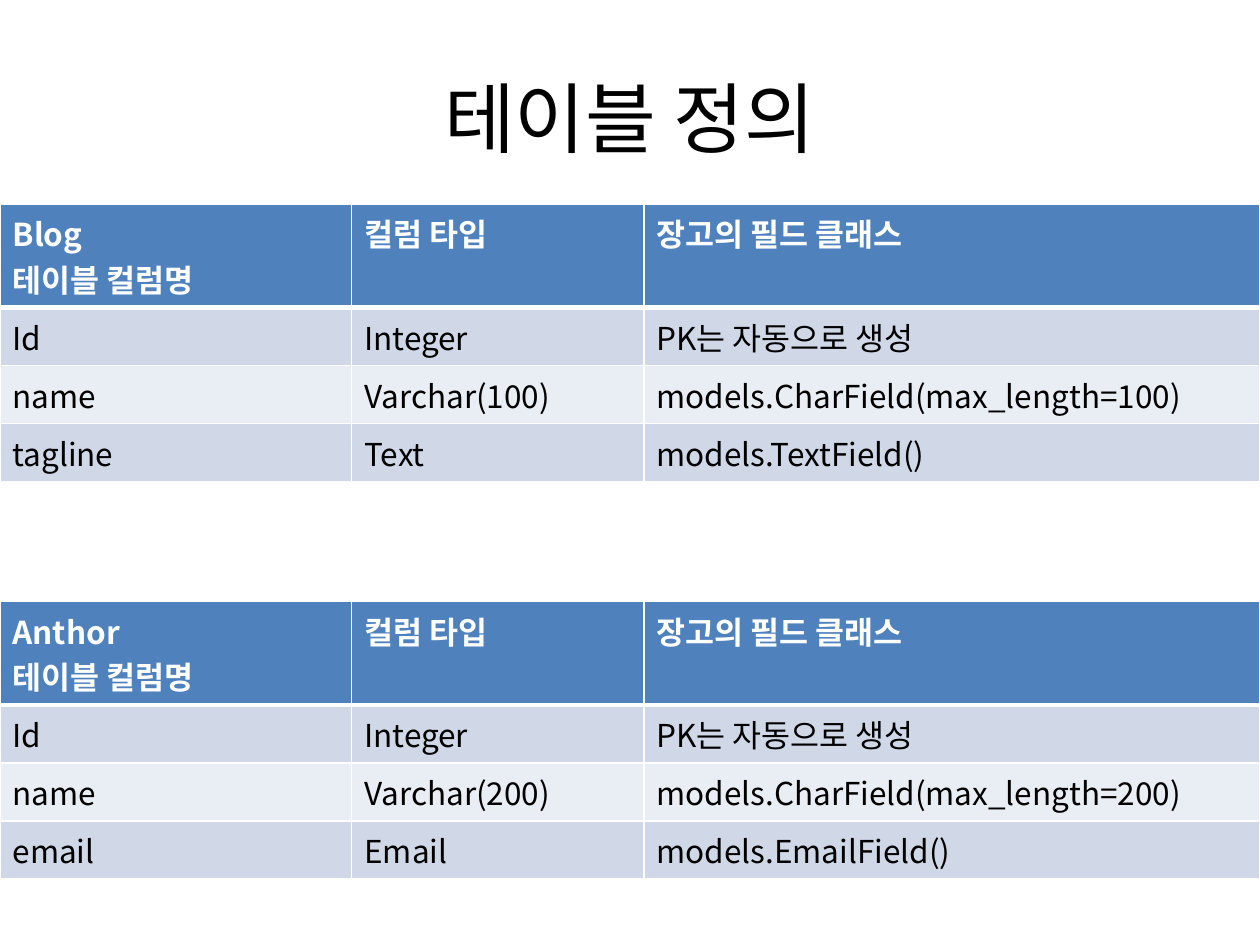
from dataclasses import dataclass

from lxml import etree
from pptx import Presentation
from pptx.dml.color import RGBColor
from pptx.enum import text
from pptx.oxml import ns
from pptx.util import Cm, Pt


@dataclass(frozen=True)
class Theme:
    font: str = "Noto Sans CJK KR"
    title_size: int = 44
    body_size: int = 18
    ink: str = "000000"
    paper: str = "FFFFFF"
    header: str = "4F81BD"
    bands: tuple = ("D0D8E8", "E9EDF4")
    rule: int = 1
    header_rule: int = 3


THEME = Theme()
COLUMN_WIDTHS = (7.09, 5.89, 12.42)
HEADER_HEIGHT, ROW_HEIGHT = 2.09, 1.17
BLOG = [
    ("Id", "Integer", "PK는 자동으로 생성"),
    ("name", "Varchar(100)", "models.CharField(max_length=100)"),
    ("tagline", "Text", "models.TextField()"),
]
AUTHOR = [
    ("Id", "Integer", "PK는 자동으로 생성"),
    ("name", "Varchar(200)", "models.CharField(max_length=200)"),
    ("email", "Email", "models.EmailField()"),
]


def add_run(p, words, size, color, bold=False):
    r = p.add_run()
    r.text = words
    r.font.name = THEME.font
    r.font.size = Pt(size)
    r.font.bold = bold
    r.font.color.rgb = RGBColor.from_string(color)
    ea = etree.SubElement(r.font._element, ns.qn("a:ea"))
    ea.set("typeface", THEME.font)


def set_borders(cell, bottom, top):
    """Draw paper-coloured rules, which the schema wants ahead of the fill."""
    tc_pr = cell._tc.get_or_add_tcPr()
    widths = {"lnL": THEME.rule, "lnR": THEME.rule, "lnT": top, "lnB": bottom}
    for i, (side, width) in enumerate(widths.items()):
        ln = etree.Element(ns.qn(f"a:{side}"), w=str(Pt(width)))
        fill = etree.SubElement(ln, ns.qn("a:solidFill"))
        etree.SubElement(fill, ns.qn("a:srgbClr"), val=THEME.paper)
        tc_pr.insert(i, ln)


def fill_cell(cell, lines, fill, color, bold=False, top=THEME.rule, bottom=THEME.rule):
    cell.fill.solid()
    cell.fill.fore_color.rgb = RGBColor.from_string(fill)
    set_borders(cell, bottom, top)
    tf = cell.text_frame
    for i, line in enumerate(lines):
        p = tf.add_paragraph() if i else tf.paragraphs[0]
        add_run(p, line, THEME.body_size, color, bold)


def add_title(s, words, left, top, width, height):
    tf = s.shapes.add_textbox(Cm(left), Cm(top), Cm(width), Cm(height)).text_frame
    tf.word_wrap = True
    tf.vertical_anchor = text.MSO_ANCHOR.MIDDLE
    p = tf.paragraphs[0]
    p.alignment = text.PP_ALIGN.CENTER
    add_run(p, words, THEME.title_size, THEME.ink)


def add_model_table(s, model, fields, left, top):
    """Map each column of a model to its type and field class."""
    height = HEADER_HEIGHT + ROW_HEIGHT * len(fields)
    table = s.shapes.add_table(
        len(fields) + 1, len(COLUMN_WIDTHS),
        Cm(left), Cm(top), Cm(sum(COLUMN_WIDTHS)), Cm(height),
    ).table
    for column, width in zip(table.columns, COLUMN_WIDTHS):
        column.width = Cm(width)
    for i, row in enumerate(table.rows):
        row.height = Cm(ROW_HEIGHT if i else HEADER_HEIGHT)

    headings = [(model, "테이블 컬럼명"), ("컬럼 타입",), ("장고의 필드 클래스",)]
    for c, lines in enumerate(headings):
        fill_cell(table.cell(0, c), lines, THEME.header, THEME.paper,
                  bold=True, bottom=THEME.header_rule)
    for r, field in enumerate(fields, start=1):
        band = THEME.bands[(r - 1) % len(THEME.bands)]
        top_rule = THEME.header_rule if r == 1 else THEME.rule
        for c, words in enumerate(field):
            fill_cell(table.cell(r, c), [words], band, THEME.ink, top=top_rule)


def main():
    prs = Presentation()
    prs.slide_width, prs.slide_height = Cm(25.4), Cm(19.05)
    s = prs.slides.add_slide(prs.slide_layouts[6])
    add_title(s, "테이블 정의", 1.27, 0.76, 22.86, 3.18)
    add_model_table(s, "Blog", BLOG, 0, 4.11)
    add_model_table(s, "Anthor", AUTHOR, 0, 12.12)
    prs.save("out.pptx")


if __name__ == "__main__":
    main()
